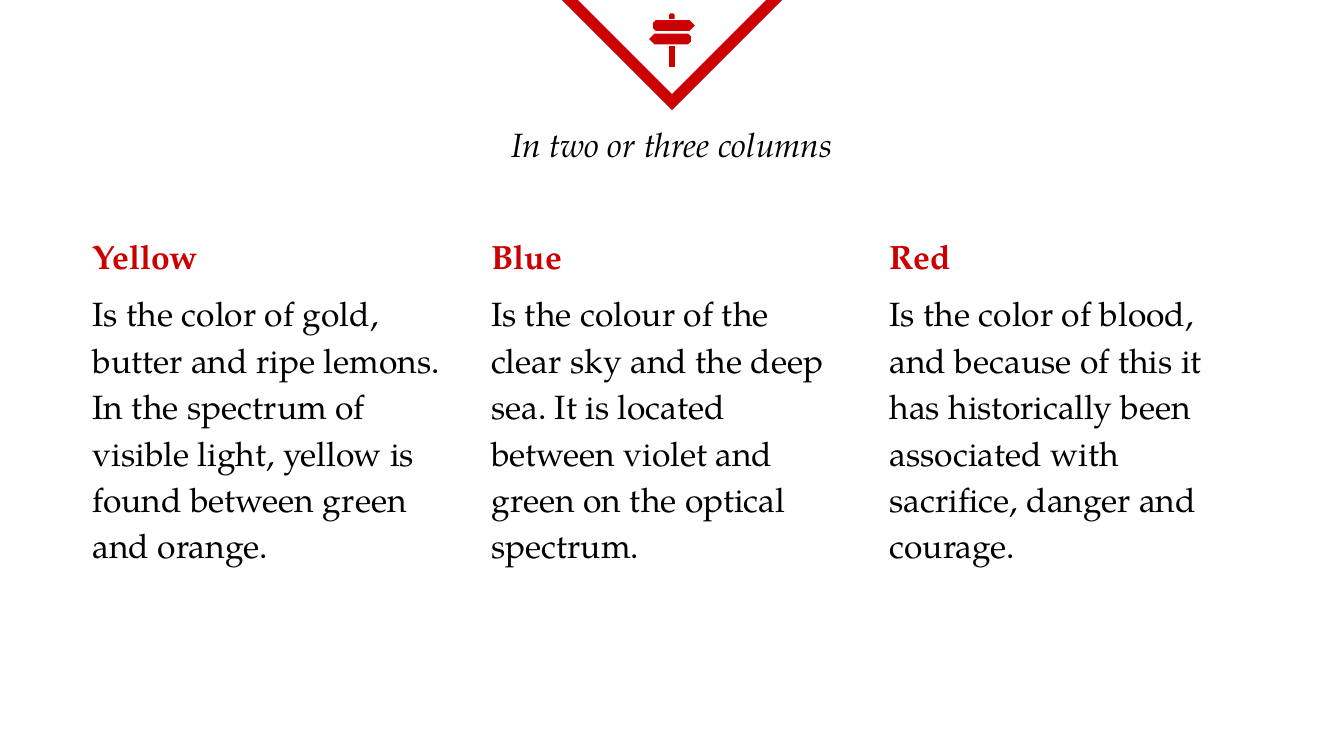
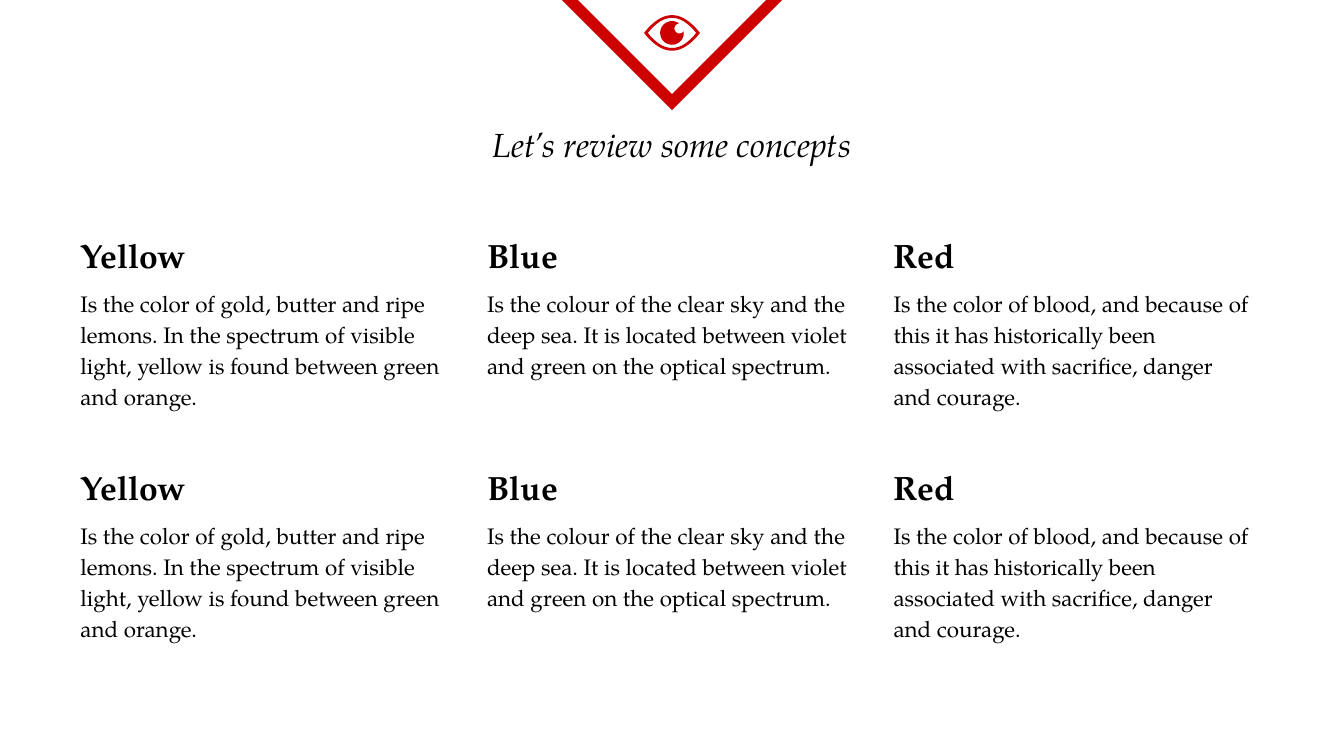
"""Builds two colour-theory slides with a shared emblem, title and text columns."""
from math import cos, radians, sin

from lxml.etree import SubElement
from pptx import Presentation
from pptx.dml.color import RGBColor
from pptx.enum.shapes import MSO_SHAPE
from pptx.enum.text import MSO_ANCHOR, PP_ALIGN
from pptx.oxml.ns import qn
from pptx.util import Inches, Pt

RED = RGBColor(0xCC, 0x00, 0x00)
BLACK = RGBColor(0x00, 0x00, 0x00)
FONT = "TeX Gyre Pagella"
COLUMNS, ROWS = 100, 56.25
CENTER = 50
COLOR_NOTES = (
    ("Yellow", "Is the color of gold, butter and ripe lemons. In the spectrum of "
               "visible light, yellow is found between green and orange."),
    ("Blue", "Is the colour of the clear sky and the deep sea. It is located between "
             "violet and green on the optical spectrum."),
    ("Red", "Is the color of blood, and because of this it has historically been "
            "associated with sacrifice, danger and courage."),
)


def arc(center_x, center_y, radius, start, end, steps=40):
    angles = [radians(start + (end - start) * step / steps) for step in range(steps + 1)]
    return [(center_x + radius * cos(a), center_y + radius * sin(a)) for a in angles]


def almond(center_x, center_y, half_width, half_height, steps=20):
    shares = [step / steps for step in range(-steps, steps + 1)]
    upper = [(center_x + half_width * t, center_y - half_height * (1 - t * t)) for t in shares]
    lower = [(x, 2 * center_y - y) for x, y in reversed(upper)]
    return upper + lower[1:-1]


class Deck:
    def __init__(self):
        self.presentation = Presentation()
        self.presentation.slide_width = Inches(10)
        self.presentation.slide_height = Inches(5.625)
        self.slide = None

    def across(self, columns):
        return round(self.presentation.slide_width * columns / COLUMNS)

    def down(self, rows):
        return round(self.presentation.slide_height * rows / ROWS)

    def box(self, left, top, width, height):
        return self.across(left), self.down(top), self.across(width), self.down(height)

    def add_slide(self, title):
        self.slide = self.presentation.slides.add_slide(self.presentation.slide_layouts[6])
        self.add_emblem()
        frame = self.add_text_frame(11.3, 8.2, 77.4, 5.9)
        paragraph = frame.paragraphs[0]
        paragraph.alignment = PP_ALIGN.CENTER
        self.add_run(paragraph, title, 18, BLACK, italic=True)

    def add_emblem(self):
        triangle = self.slide.shapes.add_shape(
            MSO_SHAPE.ISOSCELES_TRIANGLE, *self.box(41.8, -0.6, 16.4, 8.2))
        triangle.rotation = 180
        triangle.shadow.inherit = False
        triangle.fill.background()
        triangle.line.color.rgb = RED
        triangle.line.width = Pt(6)
        SubElement(triangle.line._get_or_add_ln(), qn("a:miter"), lim="800000")

    def add_text_frame(self, left, top, width, height):
        frame = self.slide.shapes.add_textbox(*self.box(left, top, width, height)).text_frame
        frame.word_wrap = True
        frame.vertical_anchor = MSO_ANCHOR.TOP
        frame.margin_left = frame.margin_right = Inches(0.1)
        frame.margin_top = frame.margin_bottom = Inches(0.1)
        return frame

    def add_run(self, paragraph, text, size, color, bold=False, italic=False):
        run = paragraph.add_run()
        run.text = text
        font = run.font
        font.name, font.size = FONT, Pt(size)
        font.bold, font.italic = bold, italic
        font.color.rgb = color

    def add_note(self, left, top, width, height, heading, body, heading_color, body_size):
        frame = self.add_text_frame(left, top, width, height)
        heading_paragraph, body_paragraph = frame.paragraphs[0], frame.add_paragraph()
        for paragraph in (heading_paragraph, body_paragraph):
            paragraph.line_spacing = 1.15
            paragraph.space_before = Pt(6)
        self.add_run(heading_paragraph, heading, 18, heading_color, bold=True)
        self.add_run(body_paragraph, body, body_size, BLACK)

    def add_note_row(self, left, top, width, height, pitch, heading_color, body_size):
        for index, (heading, body) in enumerate(COLOR_NOTES):
            self.add_note(left + index * pitch, top, width, height,
                          heading, body, heading_color, body_size)

    def add_icon(self, *outlines):
        group = self.slide.shapes.add_group_shape()
        for contours in outlines:
            builder = None
            for contour in contours:
                points = [(self.across(x), self.down(y)) for x, y in contour]
                if builder is None:
                    builder = group.shapes.build_freeform(*points[0])
                else:
                    builder.move_to(*points[0])
                builder.add_line_segments(points[1:], close=True)
            shape = builder.convert_to_shape()
            shape.shadow.inherit = False
            shape.fill.solid()
            shape.fill.fore_color.rgb = RED
            shape.line.fill.background()

    def add_signpost(self):
        board = [(-1.4, 1.7), (-1.2, 1.5), (1.3, 1.5), (1.7, 1.9),
                 (1.3, 2.3), (-1.2, 2.3), (-1.4, 2.1)]
        right_board = [(CENTER + x, y) for x, y in board]
        left_board = [(CENTER - x, y + 1) for x, y in board]
        cap = [(49.8, 1.4), (49.8, 1.1), (49.9, 1), (50.1, 1), (50.2, 1.1), (50.2, 1.4)]
        post = [(49.8, 3.4), (49.8, 5), (50.2, 5), (50.2, 3.4)]
        self.add_icon([right_board], [left_board], [cap], [post])

    def add_eye(self):
        middle = 2.45
        rim = [almond(CENTER, middle, 2.08, 1.32), almond(CENTER, middle, 1.8, 1.12)]
        pupil = arc(CENTER, middle, 0.88, -56, -350) + arc(50.55, 2.12, 0.37, 30, 262)
        self.add_icon(rim, [pupil])


def main():
    deck = Deck()
    deck.add_slide("In two or three columns")
    deck.add_note_row(5.9, 16.1, 28.2, 37.8, 29.65, RED, 18)
    deck.add_signpost()

    deck.add_slide("Let’s review some concepts")
    for top in (16, 33.3):
        deck.add_note_row(5, top, 28.8, 14.3, 30.25, BLACK, 12)
    deck.add_eye()
    deck.presentation.save("out.pptx")


if __name__ == "__main__":
    main()
